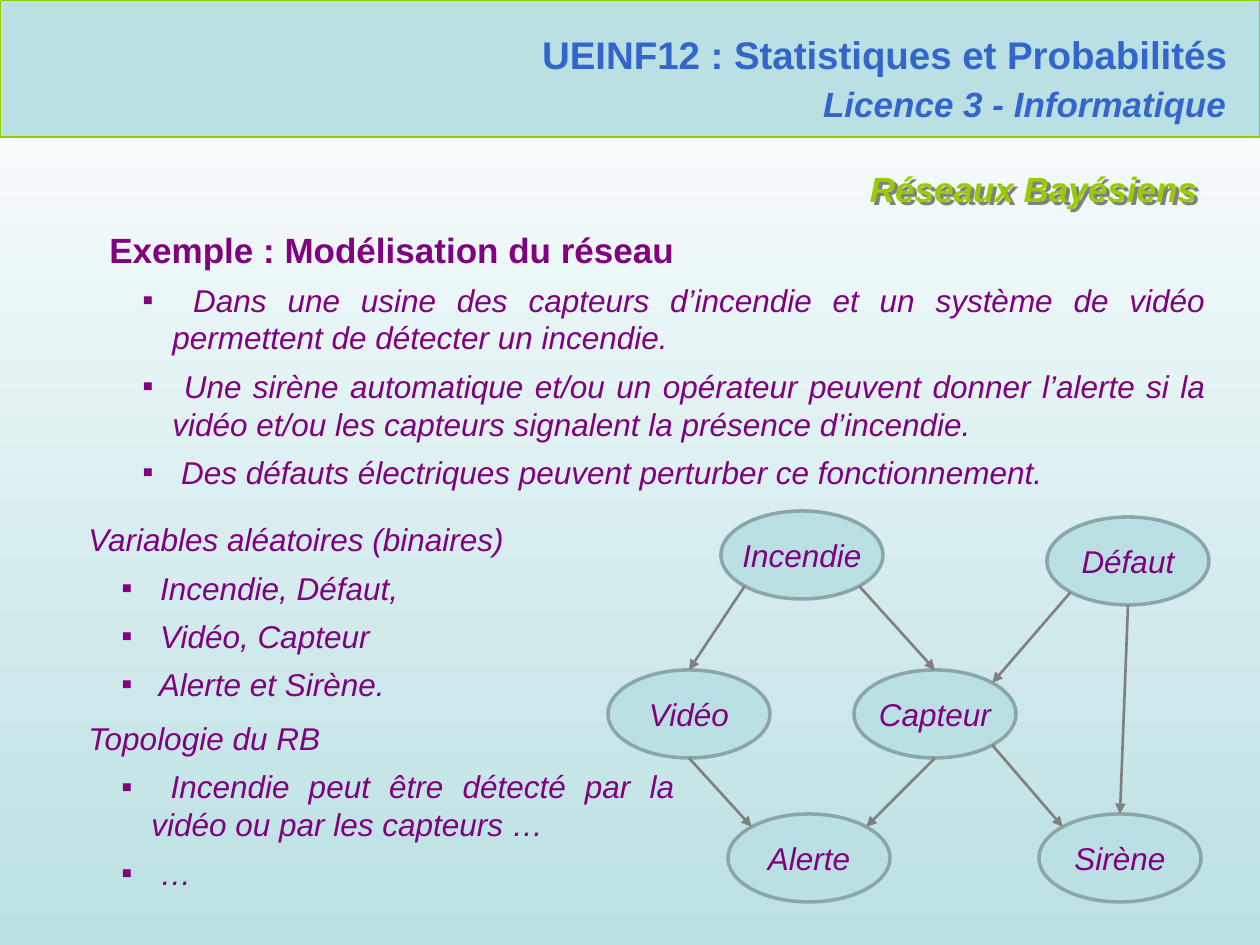
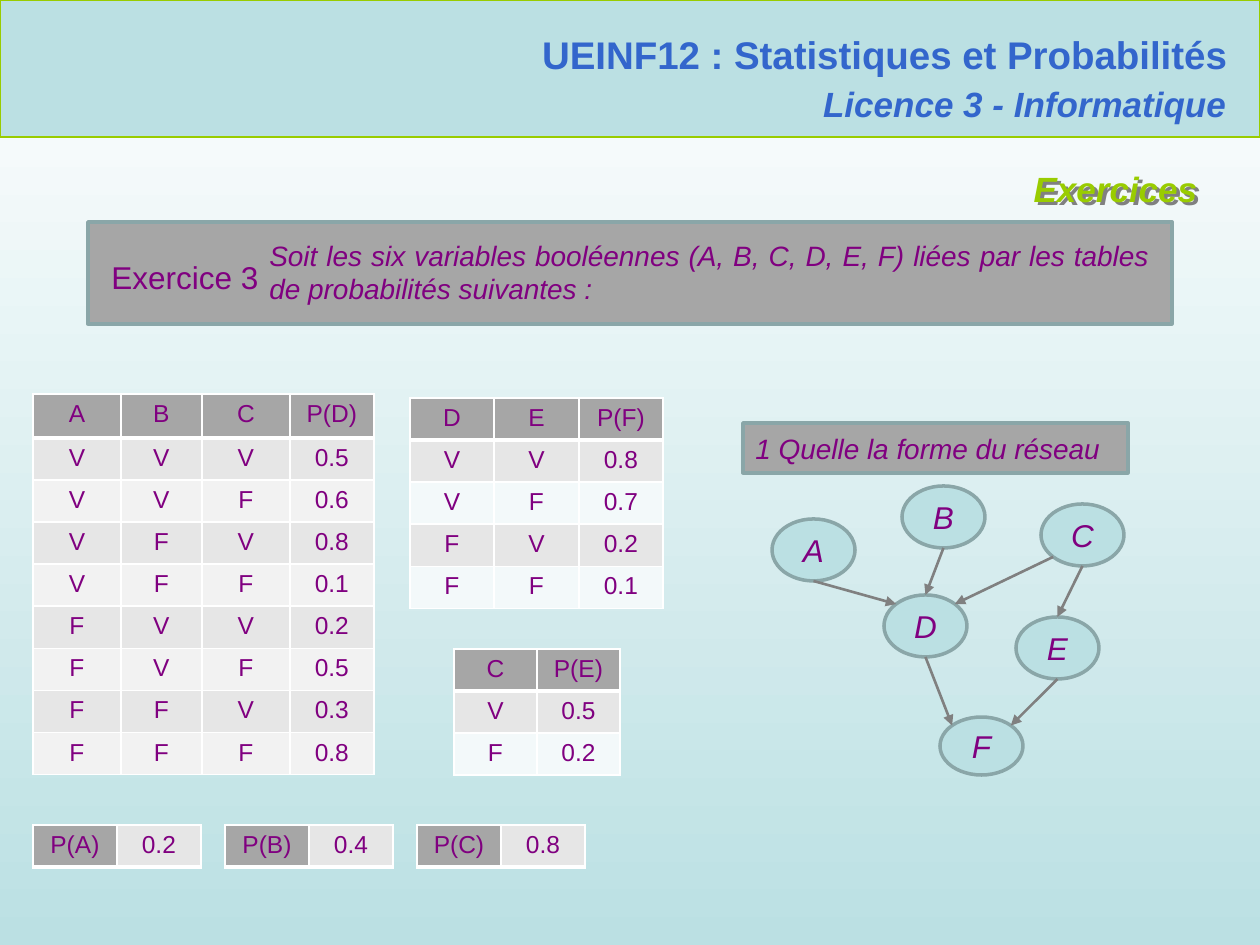
from math import cos, radians, sin

from lxml.etree import SubElement
from pptx import Presentation
from pptx.dml.color import RGBColor
from pptx.enum.shapes import MSO_CONNECTOR, MSO_SHAPE
from pptx.enum.text import MSO_ANCHOR, MSO_AUTO_SIZE, PP_ALIGN as ALIGN
from pptx.oxml import parse_xml
from pptx.oxml.ns import nsdecls, qn
from pptx.util import Pt

FONT = "Arial"
WHITE, PALE, GREEN, BLUE = "FFFFFF", "BBE0E3", "99CC00", "3366CC"
PURPLE, OUTLINE, ARROW, PANEL = "800080", "8AA6A8", "808080", "A6A6A6"
BAND, BAND_GREY, BAND_BLUE = "E6E6E6", "F2F2F2", "F3F9FA"

COURSE = "UEINF12 : Statistiques et Probabilités"
DEGREE = "Licence 3 - Informatique"

# box, left margin of the heading, heading, bullets
EXAMPLE = ((97, 222, 1121, 277), 0, "Exemple : Modélisation du réseau", [
    "Dans une usine des capteurs d’incendie et un système de vidéo permettent "
    "de détecter un incendie.",
    "Une sirène automatique et/ou un opérateur peuvent donner l’alerte si la "
    "vidéo et/ou les capteurs signalent la présence d’incendie.",
    "Des défauts électriques peuvent perturber ce fonctionnement.",
])
VARIABLES = ((13, 514, 539, 198), 63, "Variables aléatoires (binaires)", [
    "Incendie, Défaut,", "Vidéo, Capteur", "Alerte et Sirène.",
])
TOPOLOGY = ((13, 713, 674, 186), 63, "Topologie du RB", [
    "Incendie peut être détecté par la vidéo ou par les capteurs …", "…",
])

FIRE_NODES = {
    "Incendie": (721, 511, 162, 88), "Défaut": (1047, 517, 162, 88),
    "Vidéo": (608, 670, 162, 88), "Capteur": (854, 670, 162, 88),
    "Alerte": (728, 814, 162, 88), "Sirène": (1039, 814, 162, 88),
}
FIRE_EDGES = [
    ("Incendie", "SW", "Vidéo", "N"), ("Incendie", "SE", "Capteur", "N"),
    ("Défaut", "SW", "Capteur", "NE"), ("Défaut", "S", "Sirène", "N"),
    ("Vidéo", "S", "Alerte", "NW"), ("Capteur", "S", "Alerte", "NE"),
    ("Capteur", "SE", "Sirène", "NW"),
]

EXERCISE = "Exercice 3"
STATEMENT = ("Soit les six variables booléennes (A, B, C, D, E, F) liées par les "
             "tables de probabilités suivantes :")
QUESTION = "1 Quelle la forme du réseau"
LETTER_NODES = {
    "A": (772, 519, 83, 62), "B": (902, 486, 83, 62), "C": (1041, 504, 83, 62),
    "D": (884, 595, 83, 62), "E": (1016, 617, 83, 62), "F": (940, 717, 83, 58),
}
LETTER_EDGES = [
    ("A", "S", "D", "NW"), ("B", "S", "D", "N"), ("C", "SW", "D", "NE"),
    ("C", "S", "E", "N"), ("D", "S", "F", "NW"), ("E", "S", "F", "NE"),
]

# left, top, column widths, first row height, fill of even rows, rows
PROBABILITIES = [
    (33, 394, (88, 81, 88, 84), 44, BAND_GREY, [
        "A B C P(D)", "V V V 0.5", "V V F 0.6", "V F V 0.8", "V F F 0.1",
        "F V V 0.2", "F V F 0.5", "F F V 0.3", "F F F 0.8"]),
    (410, 398, (84, 85, 84), 42, BAND_BLUE, [
        "D E P(F)", "V V 0.8", "V F 0.7", "F V 0.2", "F F 0.1"]),
    (454, 649, (83, 83), 42, BAND_BLUE, ["C P(E)", "V 0.5", "F 0.2"]),
] + [
    (33 + 192 * i, 825, (84, 84), 42, BAND, [row])
    for i, row in enumerate(["P(A) 0.2", "P(B) 0.4", "P(C) 0.8"])
]
ROW_HEIGHT = 42
SITES = ["N", "NW", "W", "SW", "S", "SE", "E", "NE"]  # ellipse connection sites


def px(length):
    return round(length * 914400 / 126)


def place(box):
    return [px(length) for length in box]


def color(code):
    return RGBColor.from_string(code)


def write(paragraph, text, size, code=PURPLE, bold=False, italic=False, align=ALIGN.LEFT):
    paragraph.text = text
    paragraph.alignment = align
    for run in paragraph.runs:
        font = run.font
        font.name, font.size, font.bold, font.italic = FONT, Pt(size), bold, italic
        font.color.rgb = color(code)


def shadow(code):
    return parse_xml(
        f'<a:effectLst {nsdecls("a")}><a:outerShdw dist="35921" dir="2700000" algn="ctr" '
        f'rotWithShape="0"><a:srgbClr val="{code}"/></a:outerShdw></a:effectLst>')


def add_text(slide, box, text, size, wrap=True, **style):
    frame = slide.shapes.add_textbox(*place(box)).text_frame
    frame.word_wrap = wrap
    write(frame.paragraphs[0], text, size, **style)
    return frame


def add_panel(slide, kind, box, fill, line=OUTLINE, width=2):
    panel = slide.shapes.add_shape(kind, *place(box))
    panel.shadow.inherit = False
    panel.fill.solid()
    panel.fill.fore_color.rgb = color(fill)
    panel.line.color.rgb = color(line)
    panel.line.width = Pt(width)
    return panel


def add_line(slide, start, end, code, width):
    line = slide.shapes.add_connector(MSO_CONNECTOR.STRAIGHT, *place(start + end))
    line.line.color.rgb = color(code)
    line.line.width = Pt(width)
    SubElement(line._element.spPr, qn("a:effectLst"))
    return line


def add_slide(prs, title, title_left):
    """Add a slide with the course header and its section title."""
    slide = prs.slides.add_slide(prs.slide_layouts[5])
    add_panel(slide, MSO_SHAPE.RECTANGLE, (0, 0, 1260, 137), PALE, GREEN, 0.75)
    course = add_text(slide, (509, 25, 731, 59), COURSE, 22, wrap=False,
                      code=BLUE, bold=True, align=ALIGN.RIGHT)
    fill = course.paragraphs[0].runs[0]._r.rPr.find(qn("a:solidFill"))
    fill.addnext(shadow("000000"))
    add_text(slide, (808, 76, 431, 55), DEGREE, 20, wrap=False,
             code=BLUE, bold=True, italic=True, align=ALIGN.RIGHT)
    add_line(slide, (43, 137), (1230, 137), GREEN, 0.75)

    heading = slide.shapes.title
    heading.left, heading.top, heading.width, heading.height = place(
        (title_left, 161, 1210 - title_left, 55))
    frame = heading.text_frame
    frame.vertical_anchor = MSO_ANCHOR.TOP
    frame.auto_size = MSO_AUTO_SIZE.NONE
    write(frame.paragraphs[0], title, 20, GREEN, bold=True, italic=True, align=ALIGN.RIGHT)
    heading._element.spPr.append(shadow("808080"))
    return slide


def add_outline(slide, box, margin, heading, bullets, size=18, bold=False):
    frame = add_text(slide, box, heading, size, bold=bold, italic=not bold,
                     align=ALIGN.JUSTIFY)
    first = frame.paragraphs[0]
    first.space_after = Pt(6)
    first._p.get_or_add_pPr().set("marL", str(px(margin)))
    for bullet in bullets:
        paragraph = frame.add_paragraph()
        paragraph.space_after = Pt(6)
        properties = paragraph._p.get_or_add_pPr()
        properties.set("marL", str(px(margin + 63)))
        properties.set("indent", str(px(-30)))
        SubElement(properties, qn("a:buFont"), typeface=FONT)
        SubElement(properties, qn("a:buChar"), char="▪")
        write(paragraph, f" {bullet}", 18, italic=True, align=ALIGN.JUSTIFY)


def site_point(box, site):
    left, top, width, height = box
    angle = radians(90 + 45 * SITES.index(site))
    return (left + width * (1 + cos(angle)) / 2, top + height * (1 - sin(angle)) / 2)


def add_network(slide, nodes, edges):
    ovals = {}
    for name, box in nodes.items():
        oval = ovals[name] = add_panel(slide, MSO_SHAPE.OVAL, box, PALE)
        frame = oval.text_frame
        frame.word_wrap = False
        frame.vertical_anchor = MSO_ANCHOR.MIDDLE
        write(frame.paragraphs[0], name, 18, italic=True, align=ALIGN.CENTER)
    for source, exit_site, target, entry_site in edges:
        arrow = add_line(slide, site_point(nodes[source], exit_site),
                         site_point(nodes[target], entry_site), ARROW, 1.5)
        SubElement(arrow.line._get_or_add_ln(), qn("a:tailEnd"), type="triangle")
        joints = arrow._element.nvCxnSpPr.cNvCxnSpPr
        for tag, name, site in (("a:stCxn", source, exit_site), ("a:endCxn", target, entry_site)):
            SubElement(joints, qn(tag), id=str(ovals[name].shape_id),
                       idx=str(SITES.index(site)))


def add_borders(cell, top, bottom):
    properties = cell._tc.get_or_add_tcPr()
    for side, width in (("L", 1), ("R", 1), ("T", top), ("B", bottom)):
        edge = SubElement(properties, qn(f"a:ln{side}"), w=str(Pt(width)))
        SubElement(SubElement(edge, qn("a:solidFill")), qn("a:srgbClr"), val=WHITE)


def add_probabilities(slide, left, top, widths, first_height, even_fill, rows):
    heights = [first_height] + [ROW_HEIGHT] * (len(rows) - 1)
    box = (left, top, sum(widths), sum(heights))
    table = slide.shapes.add_table(len(rows), len(widths), *place(box)).table
    table.first_row = table.horz_banding = False
    for column, width in zip(table.columns, widths):
        column.width = px(width)
    for r, row in enumerate(rows):
        table.rows[r].height = px(heights[r])
        for c, value in enumerate(row.split()):
            cell = table.cell(r, c)
            is_header = r == 0 and (c == 0 or len(rows) > 1)
            add_borders(cell, 3 if r == 1 else 1, 3 if r == 0 else 1)
            cell.fill.solid()
            cell.fill.fore_color.rgb = color(
                PANEL if is_header else BAND if r % 2 else even_fill)
            write(cell.text_frame.paragraphs[0], value, 14, align=ALIGN.CENTER)


def main():
    prs = Presentation()
    prs.slide_width, prs.slide_height = px(1260), px(945)
    backdrop = prs.slide_master.background.fill
    backdrop.gradient()
    backdrop.gradient_angle = 270
    for stop, code in zip(backdrop.gradient_stops, (WHITE, PALE)):
        stop.color.rgb = color(code)

    network = add_slide(prs, "Réseaux Bayésiens", 274)
    add_outline(network, *EXAMPLE, size=20, bold=True)
    add_network(network, FIRE_NODES, FIRE_EDGES)
    add_outline(network, *VARIABLES)
    add_outline(network, *TOPOLOGY)

    exercise = add_slide(prs, "Exercices", 529)
    add_panel(exercise, MSO_SHAPE.RECTANGLE, (88, 222, 1084, 102), PANEL)
    add_text(exercise, (97, 252, 176, 50), EXERCISE, 18, wrap=False, align=ALIGN.CENTER)
    add_text(exercise, (257, 232, 905, 81), STATEMENT, 16, italic=True, align=ALIGN.JUSTIFY)
    for table in PROBABILITIES:
        add_probabilities(exercise, *table)
    add_network(exercise, LETTER_NODES, LETTER_EDGES)
    question = add_panel(exercise, MSO_SHAPE.RECTANGLE, (743, 423, 385, 50), PANEL)
    question.text_frame.vertical_anchor = MSO_ANCHOR.MIDDLE
    write(question.text_frame.paragraphs[0], QUESTION, 16, italic=True)

    prs.save("out.pptx")


if __name__ == "__main__":
    main()
